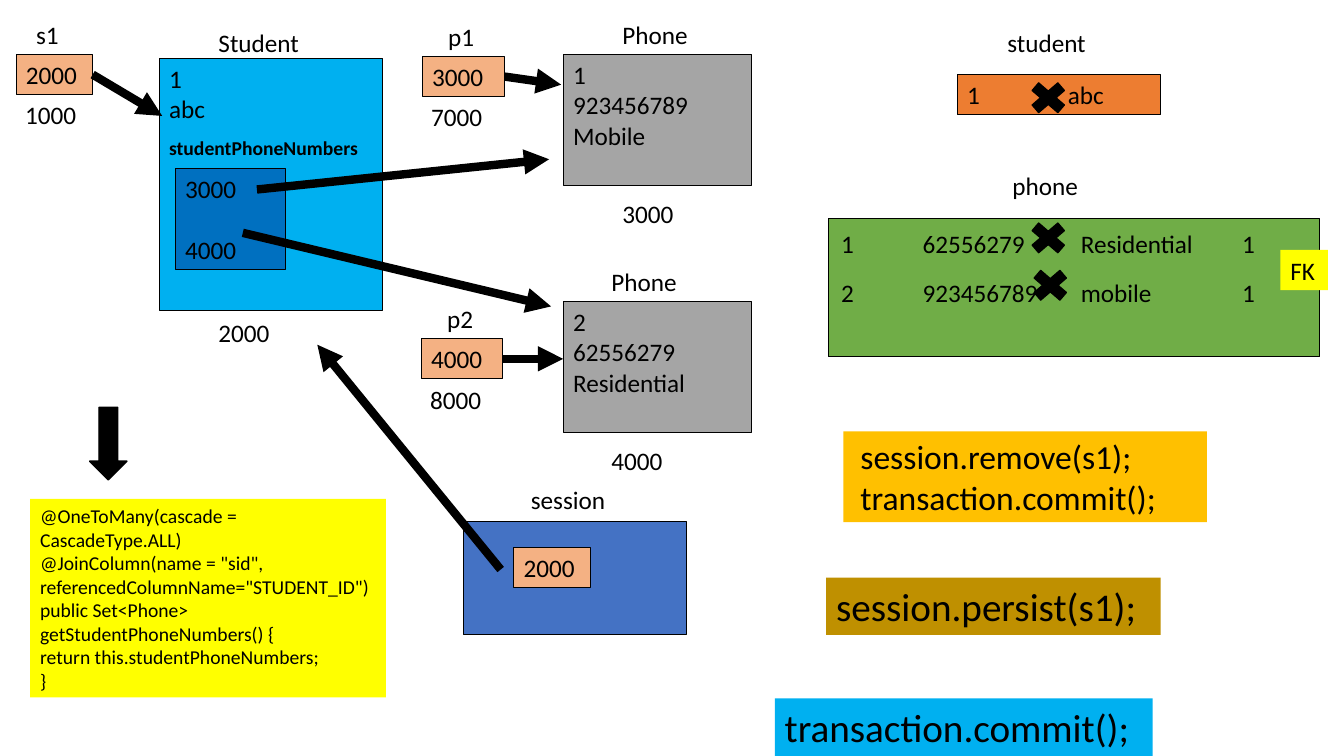
import pptx
import pptx.dml.color
import pptx.enum.shapes
import pptx.enum.text
import pptx.oxml.ns
import pptx.util
from lxml import etree

Inches = pptx.util.Inches
Pt = pptx.util.Pt
RGBColor = pptx.dml.color.RGBColor
SHAPES = pptx.enum.shapes.MSO_SHAPE

BLACK = RGBColor(0x00, 0x00, 0x00)
SKY = RGBColor(0x00, 0xB0, 0xF0)
DEEP_BLUE = RGBColor(0x00, 0x70, 0xC0)
SESSION_BLUE = RGBColor(0x44, 0x72, 0xC4)
GRAY = RGBColor(0xA5, 0xA5, 0xA5)
PEACH = RGBColor(0xF4, 0xB1, 0x83)
ORANGE = RGBColor(0xED, 0x7D, 0x31)
GREEN = RGBColor(0x70, 0xAD, 0x47)
YELLOW = RGBColor(0xFF, 0xFF, 0x00)
GOLD = RGBColor(0xFF, 0xC0, 0x00)
DARK_GOLD = RGBColor(0xBF, 0x90, 0x00)

FONT = "Calibri"
LINE_HEIGHT = 0.4
RIGHT_SIDE = 3


def write_lines(shape, lines, size=18, bold=False):
    frame = shape.text_frame
    frame.word_wrap = True
    frame.vertical_anchor = pptx.enum.text.MSO_ANCHOR.TOP
    for index, line in enumerate(lines):
        paragraph = frame.paragraphs[0] if index == 0 else frame.add_paragraph()
        paragraph.text = line
        paragraph.alignment = pptx.enum.text.PP_ALIGN.LEFT
        paragraph.font.name = FONT
        paragraph.font.size = Pt(size)
        paragraph.font.bold = bold
        paragraph.font.color.rgb = BLACK


def add_label(slide, left, top, width, *lines, size=18, bold=False):
    label = slide.shapes.add_textbox(
        Inches(left), Inches(top), Inches(width),
        Inches(LINE_HEIGHT * len(lines)))
    write_lines(label, lines, size, bold)
    return label


def add_box(slide, left, top, width, height, fill, lines=(), size=18,
            outline=0.75, kind=SHAPES.RECTANGLE):
    box = slide.shapes.add_shape(
        kind, Inches(left), Inches(top), Inches(width), Inches(height))
    box.shadow.inherit = False
    box.fill.solid()
    box.fill.fore_color.rgb = fill
    if outline:
        box.line.color.rgb = BLACK
        box.line.width = Pt(outline)
    else:
        box.line.fill.background()
    write_lines(box, lines, size)
    return box


def add_arrow(slide, start, end, source=None):
    arrow = slide.shapes.add_connector(
        pptx.enum.shapes.MSO_CONNECTOR.STRAIGHT,
        *(Inches(value) for value in (*start, *end)))
    if source is not None:
        arrow.begin_connect(source, RIGHT_SIDE)
    arrow.line.color.rgb = BLACK
    arrow.line.width = Pt(6)
    line = arrow.line._get_or_add_ln()
    etree.SubElement(line, pptx.oxml.ns.qn("a:tailEnd"), type="triangle")
    etree.SubElement(arrow._element.spPr, pptx.oxml.ns.qn("a:effectLst"))


def add_cross(slide, left, top):
    add_box(slide, left, top, 0.49, 0.42, BLACK, outline=1,
            kind=SHAPES.MATH_MULTIPLY)


def draw_student_object(slide, left, top):
    add_box(slide, left, top, 2.22, 2.5, SKY, ["1", "abc"])
    add_label(slide, left + 0.49, top - 0.36, 1.08, "Student")
    add_label(slide, left + 0.49, top + 2.52, 0.84, "2000")
    add_label(slide, left, top + 0.72, 2.6, "studentPhoneNumbers",
              size=14, bold=True)
    numbers = add_box(slide, left + 0.16, top + 1.09, 1.09, 1, DEEP_BLUE,
                      ["3000", "4000"])
    numbers.text_frame.paragraphs[1].space_before = Pt(22)


def draw_phone_object(slide, left, top, label_left, lines, address):
    add_box(slide, left, top, 1.87, 1.3, GRAY, lines)
    add_label(slide, left + label_left, top - 0.4, 1.08, "Phone")
    add_label(slide, left + label_left, top + 1.38, 0.84, address)


def draw_reference(slide, left, top, width, name_left, name, value, address):
    add_label(slide, left + name_left, top - 0.4, 0.56, name)
    add_label(slide, left - 0.01, top + 0.4, 0.81, address)
    return add_box(slide, left, top, width, LINE_HEIGHT, PEACH, [value])


def draw_session(slide, left, top):
    add_box(slide, left, top, 2.21, 1.13, SESSION_BLUE)
    add_label(slide, left + 0.57, top - 0.41, 1.08, "session")
    add_arrow(slide, (left + 0.37, top + 0.48), (left - 1.45, top - 1.75))
    add_box(slide, left + 0.5, top + 0.26, 0.76, LINE_HEIGHT, PEACH, ["2000"])


def draw_student_row(slide, left, top):
    add_label(slide, left + 0.4, top - 0.52, 1.12, "student")
    add_box(slide, left, top, 2.02, LINE_HEIGHT, ORANGE, ["1"])
    add_label(slide, left + 1, top, 1.02, "abc")
    add_cross(slide, left + 0.66, top + 0.02)


def draw_phone_rows(slide, left, top):
    add_label(slide, left + 1.73, top - 0.53, 1.02, "phone")
    add_box(slide, left, top, 4.88, 1.37, GREEN)
    columns = (
        (0.03, 0.5, ("1", "2")),
        (0.84, 1.4, ("62556279", "923456789")),
        (2.41, 1.5, ("Residential", "mobile")),
        (4.01, 0.45, ("1", "1")),
    )
    for offset, width, values in columns:
        column = add_label(slide, left + offset, top, width, *values)
        for paragraph in column.text_frame.paragraphs:
            paragraph.line_spacing = 1.15
            paragraph.space_after = Pt(10)
    add_box(slide, left + 4.49, top + 0.31, 0.47, LINE_HEIGHT, YELLOW, ["FK"],
            outline=0)
    add_cross(slide, left + 1.94, top - 0.02)
    add_cross(slide, left + 1.96, top + 0.45)


def draw_mapping_code(slide, left, top):
    add_box(slide, left + 0.59, top - 0.91, 0.37, 0.72, BLACK, outline=1,
            kind=SHAPES.DOWN_ARROW)
    add_box(slide, left, top, 3.53, 1.97, YELLOW, [
        "@OneToMany(cascade = CascadeType.ALL)",
        '@JoinColumn(name = "sid", referencedColumnName="STUDENT_ID")',
        "public Set<Phone> getStudentPhoneNumbers() {",
        "return this.studentPhoneNumbers;",
        "}"], size=14, outline=0)


def draw_session_calls(slide, left, top):
    remove = add_box(slide, left + 0.68, top, 3.61, 0.9, GOLD,
                     ["session.remove(s1);", "transaction.commit();"],
                     size=24, outline=0)
    remove.text_frame.margin_left = Inches(0.17)
    add_box(slide, left + 0.51, top + 1.45, 3.32, 0.57, DARK_GOLD,
            ["session.persist(s1);"], size=28, outline=0)
    add_box(slide, left, top + 2.65, 3.75, 0.57, SKY,
            ["transaction.commit();"], size=28, outline=0)


def main():
    presentation = pptx.Presentation()
    presentation.slide_width = Inches(13.34)
    presentation.slide_height = Inches(7.5)
    slide = presentation.slides.add_slide(presentation.slide_layouts[6])

    # Objects in memory
    draw_student_object(slide, 1.58, 0.58)
    draw_phone_object(slide, 5.59, 0.54, 0.49,
                      ["1", "923456789", "Mobile"], "3000")
    draw_phone_object(slide, 5.59, 2.99, 0.38,
                      ["2", "62556279", "Residential"], "4000")

    # References and what they point to
    s1 = draw_reference(slide, 0.16, 0.54, 0.76, 0.1, "s1", "2000", "1000")
    p1 = draw_reference(slide, 4.19, 0.56, 0.82, 0.16, "p1", "3000", "7000")
    p2 = draw_reference(slide, 4.18, 3.36, 0.81, 0.16, "p2", "4000", "8000")
    add_arrow(slide, (0.92, 0.74), (1.61, 1.15), s1)
    add_arrow(slide, (5.01, 0.76), (5.57, 0.84), p1)
    add_arrow(slide, (4.99, 3.56), (5.59, 3.56), p2)
    add_arrow(slide, (2.55, 1.88), (5.45, 1.58))
    add_arrow(slide, (2.41, 2.31), (5.47, 3.04))
    draw_session(slide, 4.6, 5.17)

    # Database tables and code
    draw_student_row(slide, 9.5, 0.74)
    draw_phone_rows(slide, 8.22, 2.17)
    draw_mapping_code(slide, 0.3, 4.95)
    draw_session_calls(slide, 7.69, 4.28)
    presentation.save("out.pptx")


if __name__ == "__main__":
    main()
